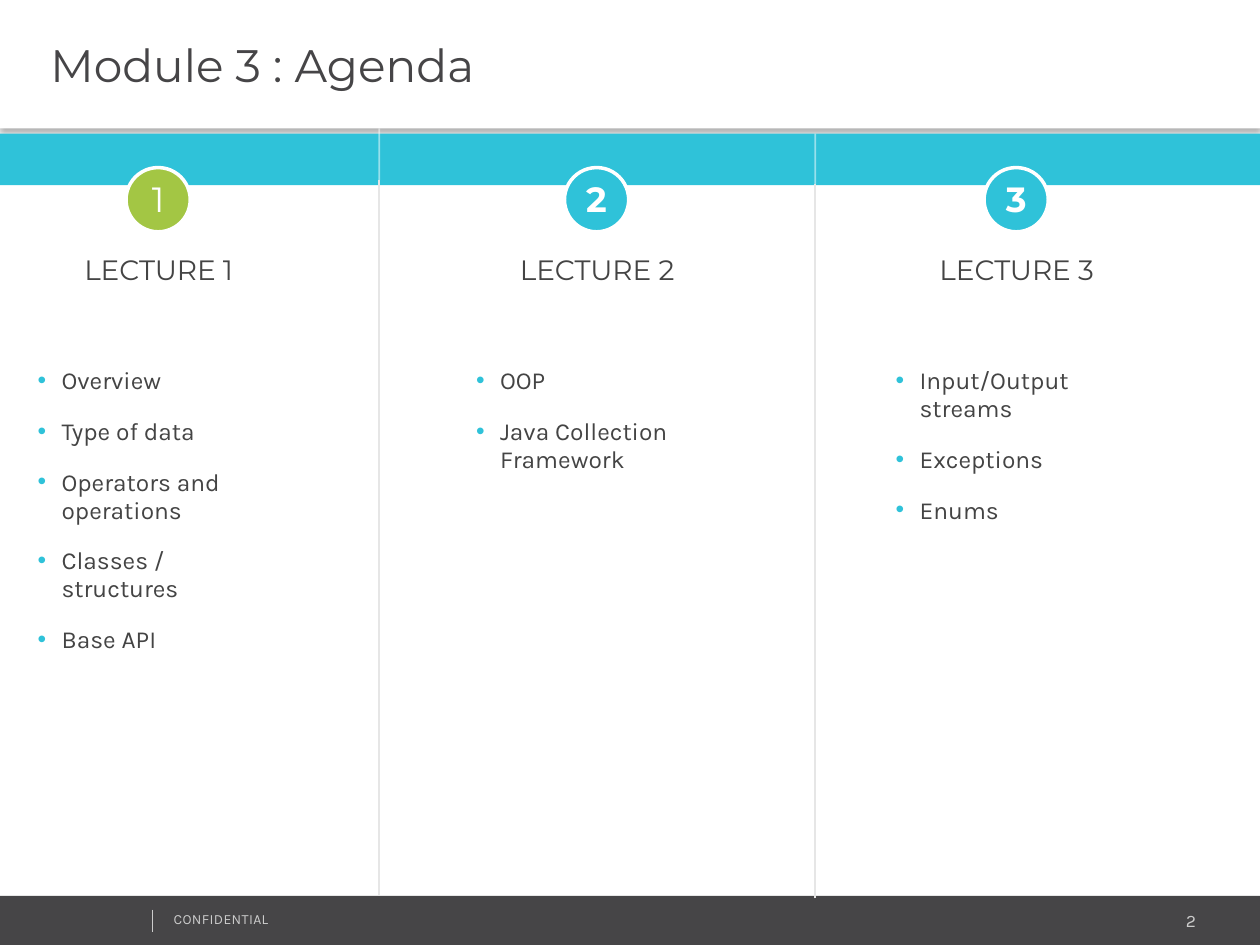
from lxml.etree import SubElement
from pptx import Presentation
from pptx.dml.color import RGBColor
from pptx.enum.shapes import MSO_CONNECTOR, MSO_SHAPE
from pptx.enum.text import MSO_ANCHOR, PP_ALIGN
from pptx.oxml import parse_xml
from pptx.oxml.ns import qn
from pptx.util import Inches, Pt

NS = 'xmlns:a="http://schemas.openxmlformats.org/drawingml/2006/main"'
HEX = {"white": "FFFFFF", "dark": "464547", "text": "444444", "cyan": "2FC2D9",
       "green": "A3C644", "rule": "E6E6E6", "pale": "CCCCCC"}
RGB = {name: RGBColor.from_string(code) for name, code in HEX.items()}

# Font and paragraph values for each kind of text
FONT = {
    "title": {"name": "Montserrat", "size": Pt(26)},
    "badge": {"name": "Montserrat", "size": Pt(20)},
    "head": {"name": "Montserrat", "size": Pt(16)},
    "item": {"name": "Karla", "size": Pt(14)},
    "page": {"name": "Karla", "size": Pt(10)},
    "note": {"name": "Karla", "size": Pt(8)},
}
PARA = {
    "title": {"alignment": PP_ALIGN.LEFT},
    "badge": {"alignment": PP_ALIGN.CENTER},
    "head": {"alignment": PP_ALIGN.CENTER, "line_spacing": Pt(18)},
    "item": {"line_spacing": Pt(16), "space_after": Pt(13)},
    "page": {"alignment": PP_ALIGN.RIGHT},
    "note": {},
}

deck = Presentation()
deck.slide_width, deck.slide_height = Inches(10), Inches(7.5)
slide = deck.slides.add_slide(deck.slide_layouts[6])
shapes = slide.shapes


def write(shape, lines, kind, color):
    frame = shape.text_frame
    frame.word_wrap = True
    frame.text = "\n".join(lines)
    for para in frame.paragraphs:
        for key, value in PARA[kind].items():
            setattr(para, key, value)
        font = para.runs[0].font
        for key, value in FONT[kind].items():
            setattr(font, key, value)
        font.color.rgb = RGB[color]
    return frame


def rule(x, top, end, color, width, alpha=None):
    line = shapes.add_connector(MSO_CONNECTOR.STRAIGHT, Inches(x), Inches(top),
                                Inches(x), Inches(end))
    line.line.color.rgb = RGB[color]
    line.line.width = Pt(width)
    if alpha:
        tint = line.line._ln.find(".//" + qn("a:srgbClr"))
        SubElement(tint, qn("a:alpha")).set("val", str(alpha * 1000))
    SubElement(line._element.spPr, qn("a:effectLst"))


# Footer bar, header and band
bars = []
for top, high, color in [(7.11, 0.4, "dark"), (0, 1.02, "white"), (1.06, 0.41, "cyan")]:
    bar = shapes.add_shape(MSO_SHAPE.RECTANGLE, 0, Inches(top), Inches(10), Inches(high))
    bar.shadow.inherit = False
    bar.fill.solid()
    bar.fill.fore_color.rgb = RGB[color]
    bar.line.fill.background()
    bars.append(bar)

# Footer text
page = shapes.add_textbox(Inches(7.96), Inches(7.17), Inches(1.63), Inches(0.27))
write(page, ["2"], "page", "pale")
note = shapes.add_textbox(Inches(1.28), Inches(7.18), Inches(2.53), Inches(0.24))
frame = write(note, ["CONFIDENTIAL"], "note", "pale")
frame.paragraphs[0].runs[0].font._element.set("spc", "20")
rule(1.21, 7.22, 7.4, "pale", 0.25)

# Title with a soft shadow below the header
header = bars[1]
frame = write(header, ["Module 3 : Agenda"], "title", "dark")
frame.vertical_anchor = MSO_ANCHOR.MIDDLE
frame.margin_left = Inches(0.4)
effects = header._element.spPr.find(qn("a:effectLst"))
effects.append(parse_xml(
    f'<a:outerShdw {NS} blurRad="{Pt(3.1)}" dist="{Pt(2)}" dir="5400000" algn="t" '
    'rotWithShape="0"><a:srgbClr val="000000"><a:alpha val="30000"/></a:srgbClr>'
    '</a:outerShdw>'))

# Column dividers: faint on the band, grey below
for x, top, mid, end in [(3.01, 1.02, 1.43, 7.1), (6.47, 1.06, 1.46, 7.13)]:
    rule(x, mid, top, "white", 1, 50)
    rule(x, end, mid, "rule", 1)

# Lecture columns
lectures = [
    (0.2, "green", ["Overview", "Type of data", "Operators and operations",
                    "Classes / structures", "Base API"]),
    (3.68, "cyan", ["OOP", "Java Collection Framework"]),
    (7.01, "cyan", ["Input/Output streams", "Exceptions", "Enums"]),
]
for num, (left, color, items) in enumerate(lectures, 1):
    badge = shapes.add_shape(MSO_SHAPE.OVAL, Inches(left + 0.8), Inches(1.33),
                             Inches(0.51), Inches(0.51))
    badge.shadow.inherit = False
    badge.fill.solid()
    badge.fill.fore_color.rgb = RGB[color]
    badge.line.color.rgb = RGB["white"]
    badge.line.width = Pt(2)
    frame = write(badge, [str(num)], "badge", "white")
    frame.paragraphs[0].runs[0].font.bold = num > 1
    frame.vertical_anchor = MSO_ANCHOR.MIDDLE
    frame.margin_left = frame.margin_right = 0
    frame.margin_top, frame.margin_bottom = Inches(0.03), Inches(0.05)

    head = shapes.add_textbox(Inches(left), Inches(1.97), Inches(2.12), Inches(0.35))
    write(head, [f"LECTURE {num}"], "head", "text")

    body = shapes.add_textbox(Inches(left), Inches(2.86), Inches(2.12), Inches(2.18))
    for para in write(body, items, "item", "text").paragraphs:
        props = para._p.get_or_add_pPr()
        props.set("marL", str(Inches(0.19)))
        props.set("indent", str(-Inches(0.19)))
        tint = SubElement(props, qn("a:buClr"))
        SubElement(tint, qn("a:srgbClr")).set("val", HEX["cyan"])
        SubElement(props, qn("a:buFont")).set("typeface", "Arial")
        SubElement(props, qn("a:buChar")).set("char", "•")

deck.save("out.pptx")
